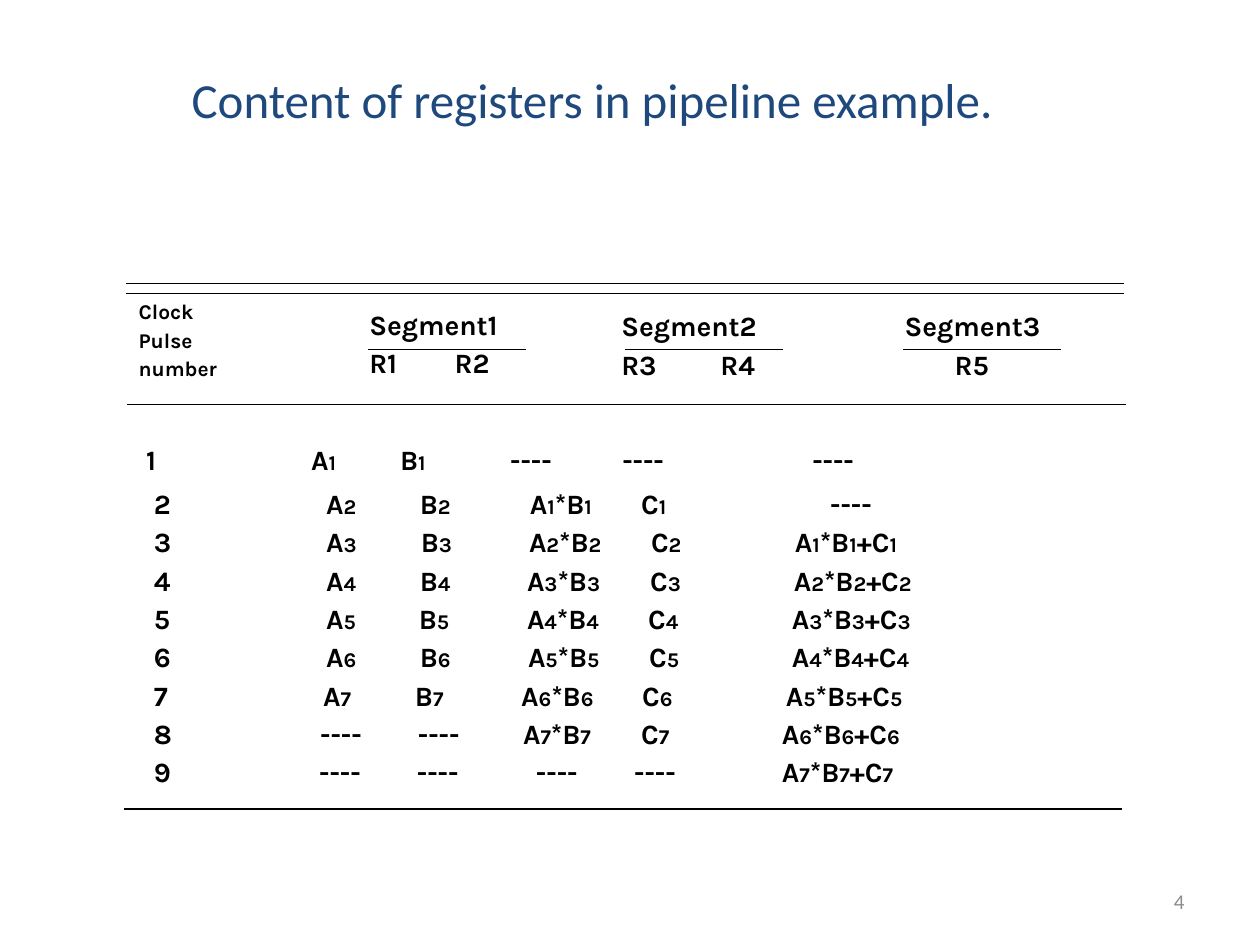
"""Build the slide that lists register contents for each clock pulse of a pipeline."""
from itertools import groupby

from lxml import etree
from pptx import Presentation
from pptx.dml.color import RGBColor
from pptx.enum.shapes import MSO_CONNECTOR
from pptx.enum.text import MSO_ANCHOR, MSO_AUTO_SIZE, PP_ALIGN
from pptx.oxml.ns import qn
from pptx.util import Cm, Pt

STRAIGHT = MSO_CONNECTOR.STRAIGHT
LEFT, RIGHT = PP_ALIGN.LEFT, PP_ALIGN.RIGHT
TOP, MIDDLE = MSO_ANCHOR.TOP, MSO_ANCHOR.MIDDLE
NO_AUTOFIT = MSO_AUTO_SIZE.NONE
PLAIN_TABLE_STYLE = "{2D5ABB26-0587-4C30-8999-92F81FD0307C}"

THEME = {
    "title_font": "Calibri",
    "table_font": "Karla",
    "ink": RGBColor(0x00, 0x00, 0x00),
    "title": RGBColor(0x1F, 0x49, 0x7D),
    "muted": RGBColor(0x8C, 0x8C, 0x8C),
    "large": Pt(28),
    "body": Pt(16),
    "small": Pt(12),
    "rule": Pt(0.75),
}


def add_run(paragraph, text, **formats):
    run = paragraph.add_run()
    run.text = text
    run.font.color.rgb = formats.pop("color", THEME["ink"])
    for name, value in formats.items():
        setattr(run.font, name, value)


def add_cell_table(left, top, width, height, lines):
    shape = slide.shapes.add_table(1, 1, Cm(left), Cm(top), Cm(width), Cm(height))
    table = shape.table
    table.first_row = table.horz_banding = False
    table._tbl.tblPr.find(qn("a:tableStyleId")).text = PLAIN_TABLE_STYLE
    cell = table.cell(0, 0)
    cell.fill.background()
    for index, (stops, pieces) in enumerate(lines):
        frame = cell.text_frame
        paragraph = frame.add_paragraph() if index else frame.paragraphs[0]
        if index:
            paragraph.space_before = Pt(round(0.2 * pieces[0][1].pt, 1))
        if stops:
            tab_list = etree.SubElement(paragraph._p.get_or_add_pPr(), qn("a:tabLst"))
            for stop in stops:
                etree.SubElement(tab_list, qn("a:tab"), pos=str(Cm(stop)), algn="l")
        for text, size in pieces:
            add_run(paragraph, text, size=size, name=THEME["table_font"], bold=True)
    return cell


presentation = Presentation()
presentation.slide_width, presentation.slide_height = Cm(25.4), Cm(19.05)
slide = presentation.slides.add_slide(presentation.slide_layouts[5])

title = slide.shapes.title
page_number = slide.shapes.add_textbox(Cm(18.21), Cm(17.65), Cm(5.92), Cm(1.02))
captions = [
    (title, "Content of registers in pipeline example.", LEFT, TOP, "large", "title"),
    (page_number, "4", RIGHT, MIDDLE, "small", "muted"),
]
title.left, title.top, title.width, title.height = Cm(3.61), Cm(1.27), Cm(17.78), Cm(1.45)
for shape, text, alignment, anchor, size, color in captions:
    frame = shape.text_frame
    frame_formats = {"word_wrap": True, "auto_size": NO_AUTOFIT, "vertical_anchor": anchor}
    for name, value in frame_formats.items():
        setattr(frame, name, value)
    paragraph = frame.paragraphs[0]
    paragraph.alignment = alignment
    add_run(paragraph, text, size=THEME[size], name=THEME["title_font"], color=THEME[color])

table_rules = [(2.54, 5.72, 20.12), (2.54, 5.92, 20.12), (2.57, 8.15, 20.12), (2.51, 16.31, 20.1)]
segment_rules = [(left, 7.04, 3.18) for left in (7.42, 12.6, 18.21)]
for left, top, length in table_rules + segment_rules:
    line = slide.shapes.add_connector(STRAIGHT, Cm(left), Cm(top), Cm(left + length), Cm(top))
    line.line.color.rgb = THEME["ink"]
    line.line.width = THEME["rule"]
    etree.SubElement(line._element.spPr, qn("a:effectLst"))

clock_lines = [([], [(word, THEME["small"])]) for word in ("Clock", "Pulse", "number")]
clock_cell = add_cell_table(2.54, 5.92, 4.24, 1.9, clock_lines)
top_border = etree.Element(qn("a:lnT"), w=str(Pt(1)))
border_fill = etree.SubElement(top_border, qn("a:solidFill"))
etree.SubElement(border_fill, qn("a:srgbClr"), val=str(THEME["ink"]))
clock_cell._tc.get_or_add_tcPr().insert(0, top_border)

segments = [
    ("Segment1", "R1\tR2", 1.72, 7.19, 6.12, 4.24),
    ("Segment2", "R3\tR4", 2.0, 12.27, 6.15, 4.24),
    ("Segment3", "\tR5", 1.01, 17.98, 6.15, 4.45),
]
for name, registers, stop, left, top, width in segments:
    lines = [([], [(name, THEME["body"])]), ([stop], [(registers, THEME["body"])])]
    add_cell_table(left, top, width, 1.88, lines)

register_stops = [
    (1.42, 4.75, 6.54, 8.76, 11.02, 14.85),
    (1.58, 5.05, 6.94, 9.16, 11.4, 15.21),
    (1.58, 5.05, 6.96, 9.14, 11.6, 14.5),
    (1.58, 5.05, 6.94, 9.1, 11.58, 14.48),
    (1.58, 5.05, 6.92, 9.1, 11.54, 14.44),
    (1.58, 5.05, 6.94, 9.12, 11.56, 14.44),
    (1.58, 4.99, 6.84, 8.98, 11.42, 14.32),
    (1.58, 4.93, 6.9, 9.02, 11.4, 14.24),
    (1.58, 4.91, 6.88, 9.28, 11.26, 14.24),
]
register_patterns = [("A{0}", 0), ("B{0}", 0), ("A{0}*B{0}", 1), ("C{0}", 1), ("A{0}*B{0}+C{0}", 2)]
pulse_lines = []
for pulse, stops in enumerate(register_stops, start=1):
    values = [
        pattern.format(pulse - delay) if 1 <= pulse - delay <= 7 else "----"
        for pattern, delay in register_patterns
    ]
    lead_size = THEME["large"] if pulse == 1 else THEME["body"]
    pieces = [("\t", lead_size), (str(pulse), THEME["body"])]
    for is_digit, characters in groupby("\t" + "\t".join(values), str.isdigit):
        pieces.append(("".join(characters), THEME["small" if is_digit else "body"]))
    pulse_lines.append((stops, pieces))
add_cell_table(1.27, 8.46, 22.66, 8.89, pulse_lines)

presentation.save("out.pptx")
